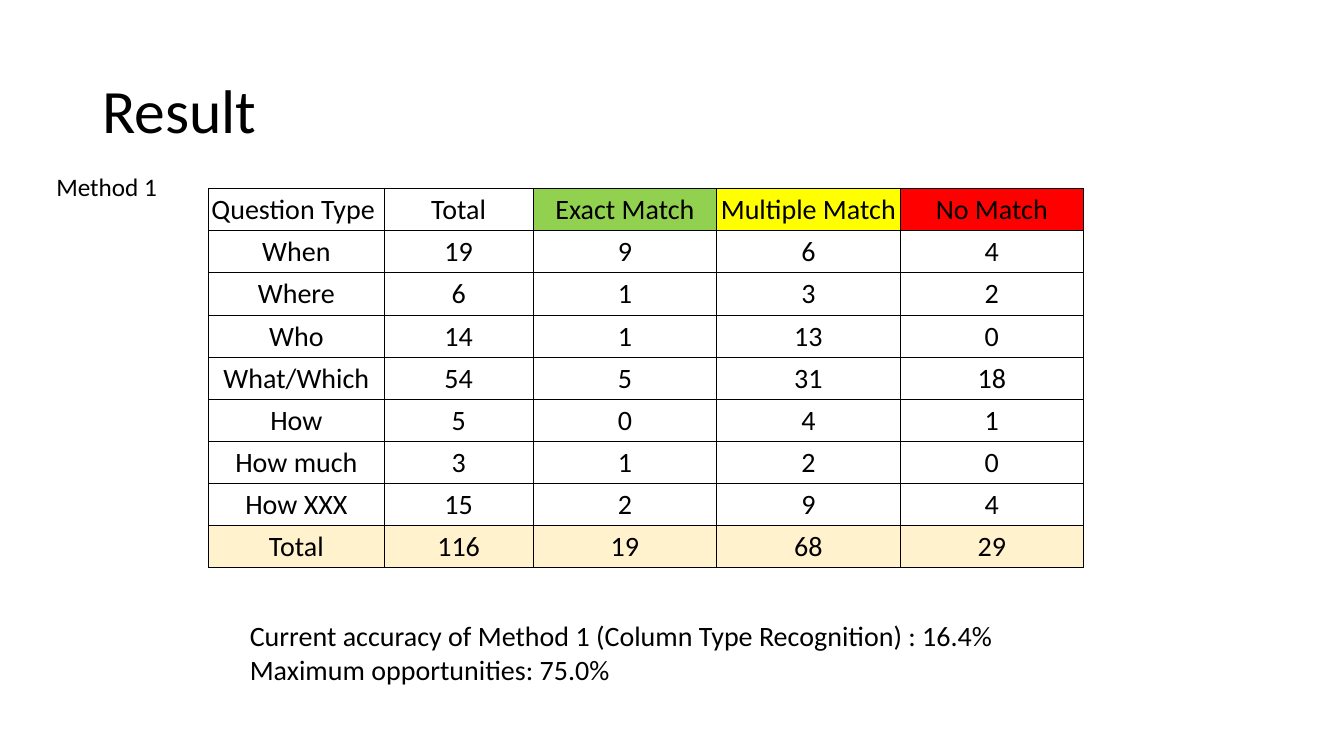
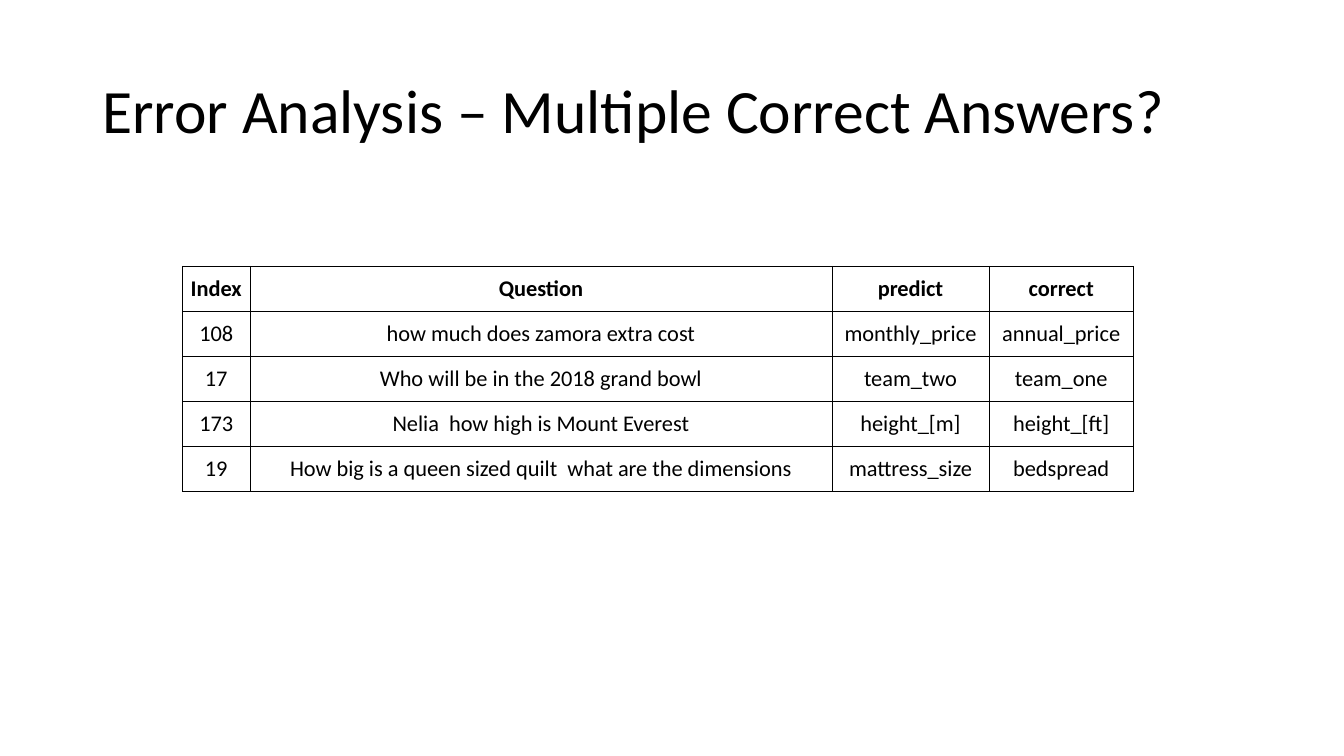
from dataclasses import dataclass, field

from lxml.etree import SubElement
from pptx import Presentation
from pptx.dml.color import RGBColor as RGB
from pptx.enum.text import MSO_ANCHOR as Anchor, MSO_AUTO_SIZE as AutoSize, PP_ALIGN as Align
from pptx.oxml.ns import qn
from pptx.util import Inches, Pt

# Shared style
FONT = "Calibri"
COLORS = {
    "text": "000000",
    "border": "000000",
    "exact": "92D050",
    "multiple": "FFFF00",
    "none": "FF0000",
    "total": "FFF2CC",
}

prs = Presentation()
prs.slide_width, prs.slide_height = Inches(40 / 3), Inches(7.5)


def px(share: float) -> int:
    """Percentage of the slide's width."""
    return round(prs.slide_width * share / 100)


def py(share: float) -> int:
    """Percentage of the slide's height."""
    return round(prs.slide_height * share / 100)


@dataclass
class Label:
    lines: list[str]
    box: tuple[float, float, float, float]  # left, top, width, height in percent
    size: int


@dataclass
class Grid:
    left: float
    top: float
    cols: list[float]
    row: float
    size: int
    data: list[list]
    bold_header: bool = False
    fills: dict = field(default_factory=dict)  # (row, column) to colour name


def style(p, size: int, bold: bool = False) -> None:
    p.font.name, p.font.size, p.font.bold = FONT, Pt(size), bold
    p.font.color.rgb = RGB.from_string(COLORS["text"])


def add_label(s, label: Label):
    x, y, w, h = label.box
    tf = s.shapes.add_textbox(px(x), py(y), px(w), py(h)).text_frame
    tf.word_wrap = True
    tf.auto_size = AutoSize.SHAPE_TO_FIT_TEXT
    tf.text = "\n".join(label.lines)
    for p in tf.paragraphs:
        style(p, label.size)
    return tf


def add_border(cell) -> None:
    tc_pr = cell._tc.get_or_add_tcPr()
    for side in ("lnL", "lnR", "lnT", "lnB"):
        ln = SubElement(tc_pr, qn(f"a:{side}"), w=str(Pt(0.5)))
        SubElement(SubElement(ln, qn("a:solidFill")), qn("a:srgbClr"), val=COLORS["border"])


def add_grid(s, grid: Grid) -> None:
    n_rows, n_cols = len(grid.data), len(grid.cols)
    table = s.shapes.add_table(n_rows, n_cols, px(grid.left), py(grid.top),
                               px(sum(grid.cols)), py(grid.row * n_rows)).table
    table.first_row = table.horz_banding = False
    for col, width in zip(table.columns, grid.cols):
        col.width = px(width)
    for i, values in enumerate(grid.data):
        table.rows[i].height = py(grid.row)
        for j, value in enumerate(values):
            cell = table.cell(i, j)
            cell.margin_left = cell.margin_right = cell.margin_top = Inches(0.01)
            cell.margin_bottom = 0
            cell.vertical_anchor = Anchor.MIDDLE
            add_border(cell)
            if (i, j) in grid.fills:
                cell.fill.solid()
                cell.fill.fore_color.rgb = RGB.from_string(COLORS[grid.fills[i, j]])
            else:
                cell.fill.background()
            cell.text = str(value)
            p = cell.text_frame.paragraphs[0]
            p.alignment = Align.CENTER
            style(p, grid.size, grid.bold_header and i == 0)


def add_slide(title: str):
    s = prs.slides.add_slide(prs.slide_layouts[6])
    tf = add_label(s, Label([title], (6.88, 5.33, 86.25, 19.33), 44))
    tf.auto_size = AutoSize.NONE
    tf.vertical_anchor = Anchor.MIDDLE
    tf.paragraphs[0].line_spacing = 0.9
    return s


# Slide 1: result counts by question type
results = [
    ["Question Type\u00a0", "Total", "Exact Match", "Multiple Match", "No Match"],
    ["When", 19, 9, 6, 4],
    ["Where", 6, 1, 3, 2],
    ["Who", 14, 1, 13, 0],
    ["What/Which", 54, 5, 31, 18],
    ["How", 5, 0, 4, 1],
    ["How much", 3, 1, 2, 0],
    ["How XXX", 15, 2, 9, 4],
    ["Total", 116, 19, 68, 29],
]
result_fills = {(0, 2): "exact", (0, 3): "multiple", (0, 4): "none"}
result_fills |= {(len(results) - 1, j): "total" for j in range(5)}

s = add_slide("Result")
add_grid(s, Grid(15.53, 24.93, [13.05, 11.1, 13.65, 13.65, 13.65], 5.58, 20,
                 results, fills=result_fills))
add_label(s, Label(["Current accuracy of Method 1 (Column Type Recognition) : 16.4%",
                    "Maximum opportunities: 75.0% "], (17.85, 81.2, 70.43, 10.27), 20))
add_label(s, Label(["Method 1"], (3.45, 22, 9.38, 5.33), 18))

# Slide 2: questions with more than one correct answer
errors = [
    ["Index", "Question", "predict", "correct"],
    [108, "how much does zamora extra cost", "monthly_price", "annual_price"],
    [17, "Who will be in the 2018 grand bowl", "team_two", "team_one"],
    [173, "Nelia  how high is Mount Everest", "height_[m]", "height_[ft]"],
    [19, "How big is a queen sized quilt  what are the dimensions", "mattress_size", "bedspread"],
]
s = add_slide("Error Analysis – Multiple Correct Answers?")
add_grid(s, Grid(13.58, 35.2, [5.02, 43.3, 11.7, 10.73], 5.96, 16, errors, bold_header=True))

prs.save("out.pptx")
